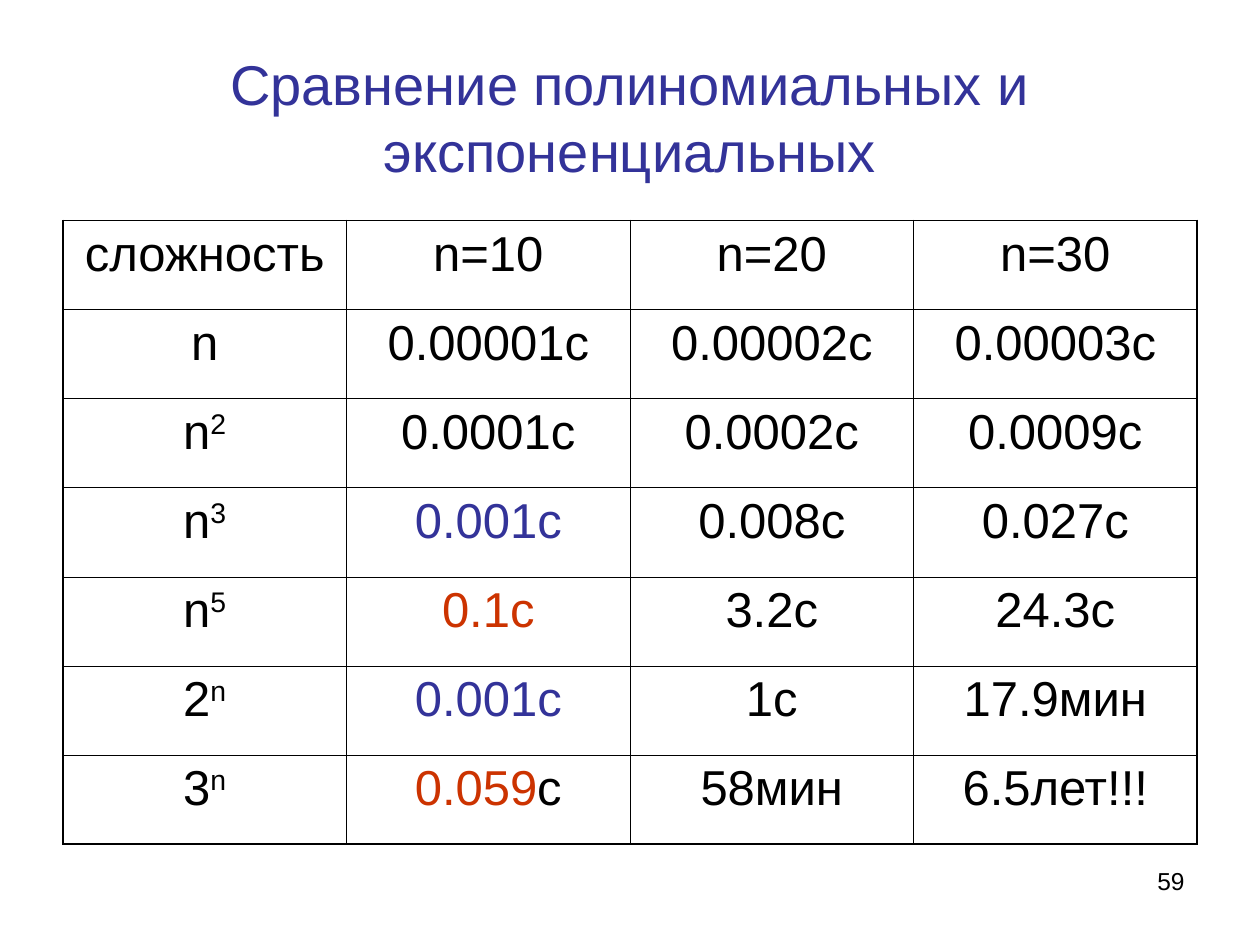
from dataclasses import dataclass

from lxml import etree
from pptx import Presentation, util as u
from pptx.dml.color import RGBColor
from pptx.enum import text
from pptx.oxml.ns import qn


@dataclass(frozen=True)
class Theme:
    font: str = "Arial"
    ink: str = "000000"
    blue: str = "333399"
    red: str = "CC3300"
    title_size: int = 32
    cell_size: int = 28
    number_size: int = 14
    outer_line: float = 1.08
    inner_line: float = 0.45


THEME = Theme()
WIDTH, HEIGHT = u.Inches(10), u.Inches(7.5)
TITLE_BOX = (0.05, 0.04, 0.9, 1 / 6)
TABLE_BOX = (0.05, 0.7 / 3, 0.9, 0.66)
NUMBER_BOX = (0.72, 0.91, 0.23, 0.07)
ROWS = [
    ["сложность", "n=10", "n=20", "n=30"],
    ["n", "0.00001c", "0.00002c", "0.00003c"],
    ["n^2", "0.0001c", "0.0002c", "0.0009c"],
    ["n^3", [("0.001c", THEME.blue)], "0.008c", "0.027c"],
    ["n^5", [("0.1c", THEME.red)], "3.2c", "24.3c"],
    ["2^n", [("0.001c", THEME.blue)], "1c", "17.9мин"],
    ["3^n", [("0.059", THEME.red), ("c", THEME.ink)], "58мин", "6.5лет!!!"],
]


def scale(box):
    return [round(share * side) for share, side in zip(box, (WIDTH, HEIGHT) * 2)]


def add_run(paragraph, words, size, color=THEME.ink, raised=False):
    run = paragraph.add_run()
    run.text = words
    run.font.name = THEME.font
    run.font.size = u.Pt(size)
    run.font.color.rgb = RGBColor.from_string(color)
    if raised:
        run.font._element.set("baseline", "30000")


def add_title(slide, box):
    title = slide.shapes.title
    title.left, title.top, title.width, title.height = scale(box)
    frame = title.text_frame
    frame.word_wrap = True
    frame.auto_size = text.MSO_AUTO_SIZE.NONE
    frame.vertical_anchor = text.MSO_ANCHOR.MIDDLE
    paragraph = frame.paragraphs[0]
    paragraph.alignment = text.PP_ALIGN.CENTER
    add_run(paragraph, "Сравнение полиномиальных и экспоненциальных",
            THEME.title_size, THEME.blue)


def set_borders(cell, outer_sides):
    properties = cell._tc.get_or_add_tcPr()
    for index, side in enumerate("LRTB"):
        width = THEME.outer_line if side in outer_sides else THEME.inner_line
        line = etree.Element(qn(f"a:ln{side}"), w=str(u.Pt(width)))
        fill = etree.SubElement(line, qn("a:solidFill"))
        etree.SubElement(fill, qn("a:srgbClr"), val=THEME.ink)
        properties.insert(index, line)


def fill_cell(cell, content):
    cell.fill.background()
    paragraph = cell.text_frame.paragraphs[0]
    paragraph.alignment = text.PP_ALIGN.CENTER
    if isinstance(content, list):
        for words, color in content:
            add_run(paragraph, words, THEME.cell_size, color)
    else:
        for index, words in enumerate(content.split("^")):
            add_run(paragraph, words, THEME.cell_size, raised=index > 0)


def add_complexity_table(slide, box):
    left, top, width, height = scale(box)
    row_count, column_count = len(ROWS), len(ROWS[0])
    table = slide.shapes.add_table(
        row_count, column_count, left, top, width, height).table
    table.first_row = table.horz_banding = False
    for column in table.columns:
        column.width = width // column_count
    for row in table.rows:
        row.height = height // row_count
    for i, contents in enumerate(ROWS):
        for j, content in enumerate(contents):
            cell = table.cell(i, j)
            fill_cell(cell, content)
            edges = {"L": j == 0, "R": j == column_count - 1,
                     "T": i == 0, "B": i == row_count - 1}
            set_borders(cell, [side for side, outer in edges.items() if outer])


def add_slide_number(slide, box):
    frame = slide.shapes.add_textbox(*scale(box)).text_frame
    frame.word_wrap = True
    paragraph = frame.paragraphs[0]
    paragraph.alignment = text.PP_ALIGN.RIGHT
    add_run(paragraph, "59", THEME.number_size)


def main():
    presentation = Presentation()
    presentation.slide_width, presentation.slide_height = WIDTH, HEIGHT
    slide = presentation.slides.add_slide(presentation.slide_layouts[5])
    add_title(slide, TITLE_BOX)
    add_complexity_table(slide, TABLE_BOX)
    add_slide_number(slide, NUMBER_BOX)
    presentation.save("out.pptx")


if __name__ == "__main__":
    main()
